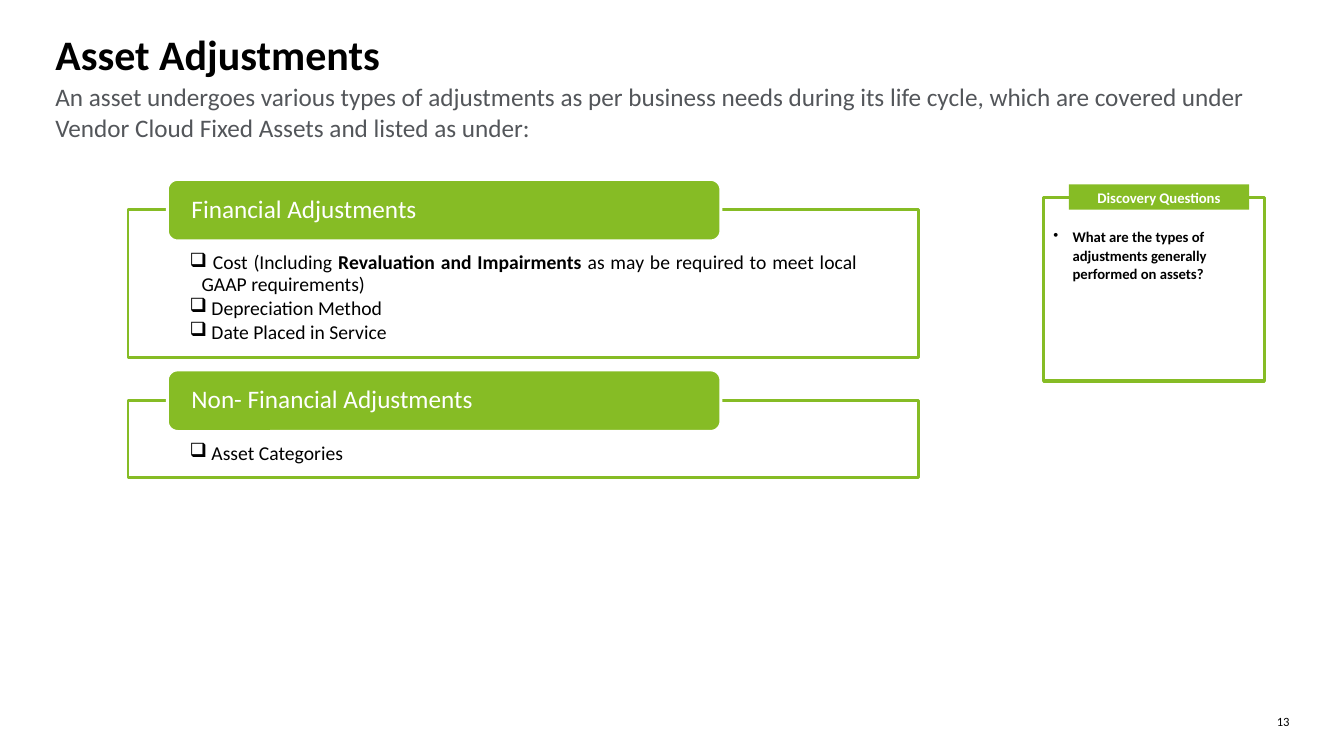
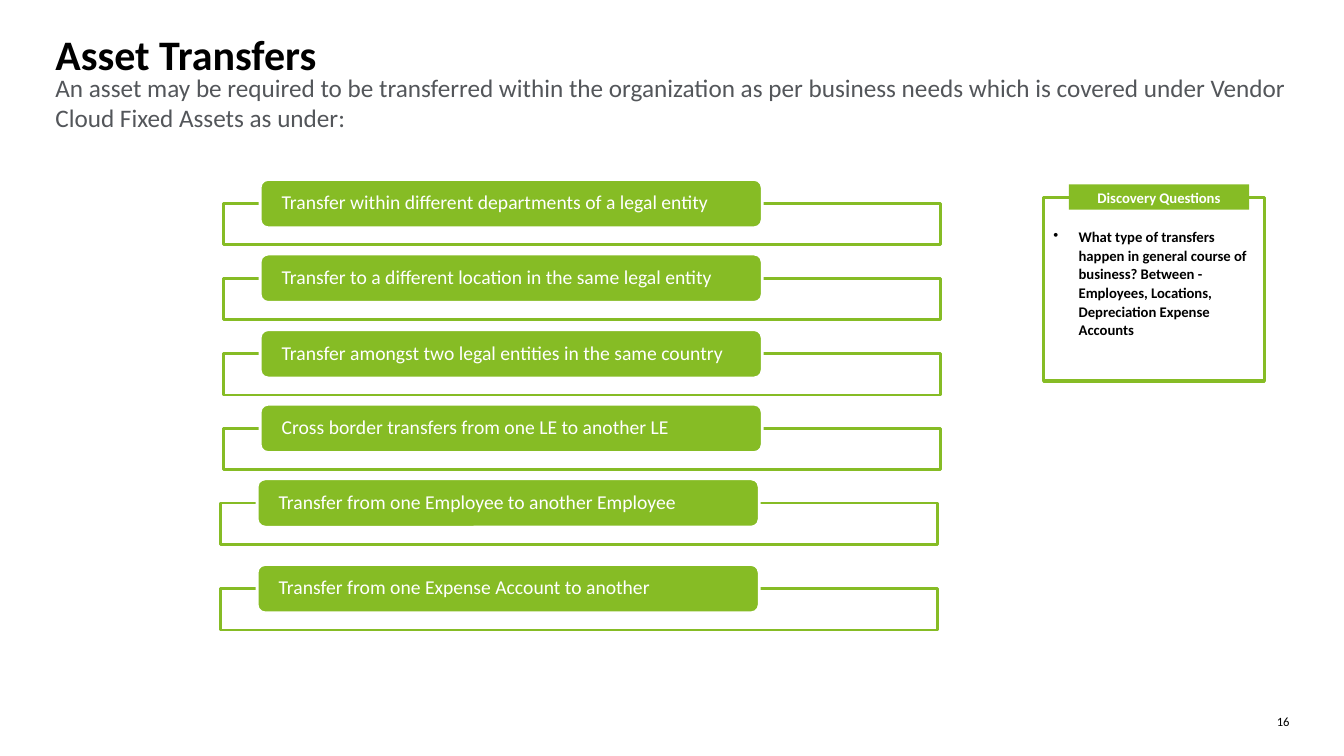
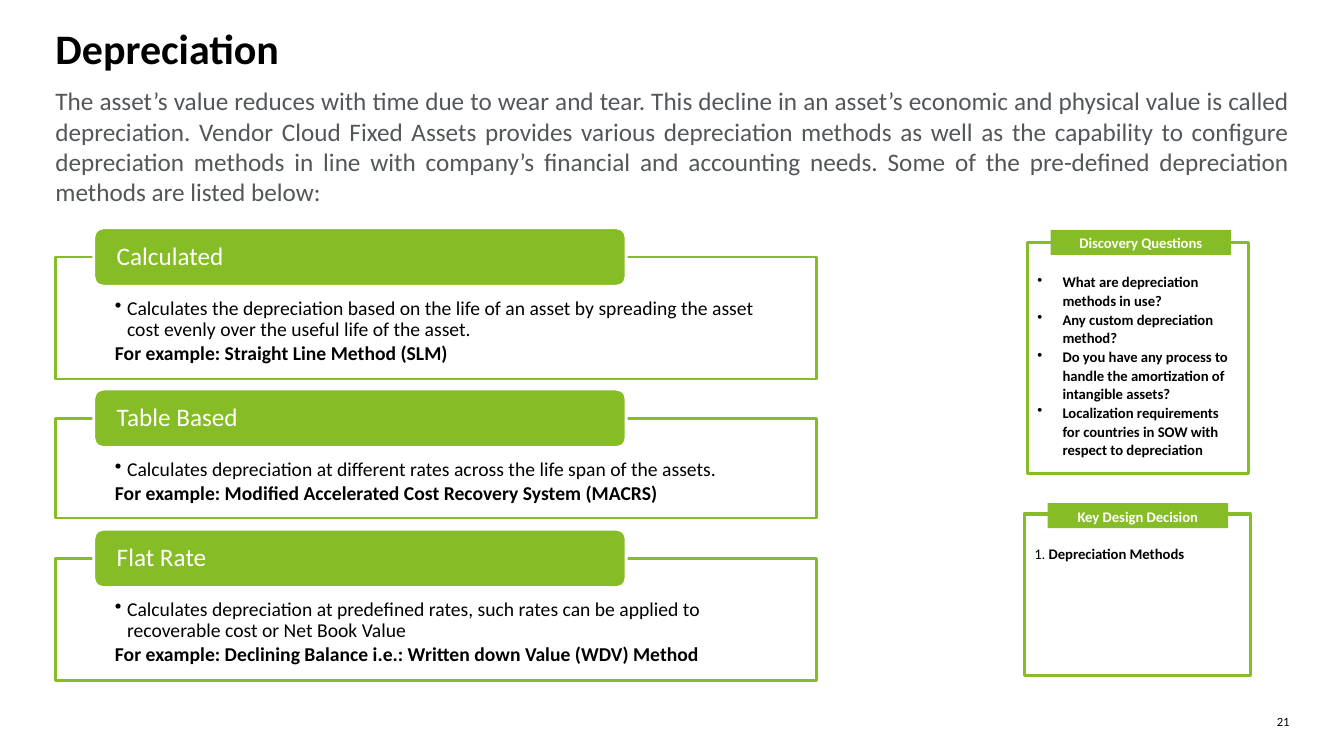
from dataclasses import dataclass

from lxml import etree
from pptx import Presentation
from pptx.dml.color import RGBColor
from pptx.enum.shapes import MSO_SHAPE
from pptx.enum.text import MSO_ANCHOR, MSO_AUTO_SIZE, PP_ALIGN
from pptx.oxml.ns import qn
from pptx.presentation import Presentation as Deck
from pptx.shapes.autoshape import Shape
from pptx.slide import Slide
from pptx.text.text import TextFrame
from pptx.util import Emu, Pt

EMU_PER_PX = 9144
FONT = "Calibri"
GREEN = RGBColor(0x86, 0xBC, 0x25)
GREY = RGBColor(0x53, 0x56, 0x5A)
BLACK = RGBColor(0, 0, 0)
WHITE = RGBColor(0xFF, 0xFF, 0xFF)

RECTANGLE = MSO_SHAPE.RECTANGLE
ROUNDED = MSO_SHAPE.ROUNDED_RECTANGLE
TOP = MSO_ANCHOR.TOP
MIDDLE = MSO_ANCHOR.MIDDLE
NO_FIT = MSO_AUTO_SIZE.NONE
LEFT = PP_ALIGN.LEFT
CENTER = PP_ALIGN.CENTER
RIGHT = PP_ALIGN.RIGHT
JUSTIFY = PP_ALIGN.JUSTIFY

TITLE_ONLY = 5
MARGIN = 55
CONTENT_WIDTH = 1224


@dataclass(frozen=True)
class Box:
    left: int
    top: int
    width: int
    height: int


@dataclass(frozen=True)
class Insets:
    left: int = 0
    top: int = 0
    right: int = 0
    bottom: int = 0


@dataclass(frozen=True)
class Span:
    text: str
    bold: bool = False


@dataclass(frozen=True)
class Para:
    spans: tuple[Span, ...]
    align: PP_ALIGN = LEFT
    bullet: str = ""
    hang: int = 0


@dataclass(frozen=True)
class TextStyle:
    size: float
    color: RGBColor = BLACK
    spacing: float = 1.0
    after: int = 0


@dataclass(frozen=True)
class CardStyle:
    width: int
    tab_height: int
    heading: TextStyle
    inset: int


@dataclass(frozen=True)
class Card:
    left: int
    top: int
    height: int
    heading: str
    paras: tuple[Para, ...] = ()


@dataclass(frozen=True)
class Panel:
    frame: Box
    label_left: int
    label_top: int
    label: str
    paras: tuple[Para, ...]


@dataclass(frozen=True)
class Page:
    title: str
    title_top: int
    intro: Para
    intro_top: int
    number: str
    card_style: CardStyle
    cards: tuple[Card, ...]
    panels: tuple[Panel, ...]


TITLE = TextStyle(30)
INTRO = TextStyle(18, GREY, after=10)
NUMBER = TextStyle(9)
CARD_BODY = TextStyle(14, spacing=0.9, after=2)
LARGE_HEADING = TextStyle(18, WHITE, 0.9)
SMALL_HEADING = TextStyle(14, WHITE, 0.9)
PANEL_BODY = TextStyle(10.5, spacing=1.06)
PANEL_LABEL = TextStyle(10.5, WHITE, 1.06)


def px(length: int) -> Emu:
    return Emu(length * EMU_PER_PX)


def plain(text: str, align: PP_ALIGN = LEFT) -> Para:
    return Para((Span(text),), align)


def bold(text: str, align: PP_ALIGN = LEFT) -> Para:
    return Para((Span(text, True),), align)


def checked(*spans: Span, align: PP_ALIGN = JUSTIFY) -> Para:
    return Para(spans, align, "❑", 12)


def method(description: str, example: str) -> tuple[Para, ...]:
    return (
        Para((Span(description),), bullet="•", hang=12),
        bold(f"For example: {example}"),
    )


def question(text: str, hang: int = 25) -> Para:
    return Para((Span(text, True),), bullet="•", hang=hang)


def write(frame: TextFrame, paras: tuple[Para, ...], style: TextStyle,
          insets: Insets = Insets(), anchor: MSO_ANCHOR = TOP) -> None:
    frame.word_wrap = True
    frame.auto_size = NO_FIT
    frame.vertical_anchor = anchor
    frame.margin_left = px(insets.left)
    frame.margin_top = px(insets.top)
    frame.margin_right = px(insets.right)
    frame.margin_bottom = px(insets.bottom)
    for index, item in enumerate(paras):
        para = frame.paragraphs[0] if index == 0 else frame.add_paragraph()
        if item.bullet:
            properties = para._p.get_or_add_pPr()
            properties.set("marL", str(px(item.hang)))
            properties.set("indent", str(-px(item.hang)))
            etree.SubElement(properties, qn("a:buChar"), char=item.bullet)
        para.alignment = item.align
        para.line_spacing = style.spacing
        para.space_before = Pt(0)
        para.space_after = Pt(style.after)
        for item_span in item.spans:
            span = para.add_run()
            span.text = item_span.text
            span.font.name = FONT
            span.font.size = Pt(style.size)
            span.font.bold = item_span.bold
            span.font.color.rgb = style.color


def place(shape: Shape, box: Box) -> None:
    shape.left, shape.top = px(box.left), px(box.top)
    shape.width, shape.height = px(box.width), px(box.height)


def add_text(page: Slide, box: Box, para: Para, style: TextStyle) -> None:
    shape = page.shapes.add_textbox(0, 0, 0, 0)
    place(shape, box)
    write(shape.text_frame, (para,), style)


def add_block(page: Slide, kind: MSO_SHAPE, box: Box, fill: RGBColor | None = None,
              line: RGBColor | None = None, weight: float = 2) -> Shape:
    shape = page.shapes.add_shape(kind, 0, 0, 0, 0)
    place(shape, box)
    shape.shadow.inherit = False
    if fill is None:
        shape.fill.background()
    else:
        shape.fill.solid()
        shape.fill.fore_color.rgb = fill
    if line is None:
        shape.line.fill.background()
    else:
        shape.line.color.rgb = line
        shape.line.width = Pt(weight)
    return shape


def add_card(page: Slide, card: Card, style: CardStyle) -> None:
    outline = add_block(page, RECTANGLE,
                        Box(card.left, card.top, style.width, card.height), WHITE, GREEN)
    if card.paras:
        side = round(style.width * 0.078)
        insets = Insets(side, round(style.tab_height * 0.7), side, 11)
        write(outline.text_frame, card.paras, CARD_BODY, insets)
    tab_box = Box(card.left + round(style.width * 0.05), card.top - style.tab_height // 2,
                  round(style.width * 0.7), style.tab_height)
    tab = add_block(page, ROUNDED, tab_box, GREEN, WHITE)
    write(tab.text_frame, (plain(card.heading),), style.heading,
          Insets(left=style.inset, right=style.inset), MIDDLE)


def add_panel(page: Slide, panel: Panel) -> None:
    frame = add_block(page, RECTANGLE, panel.frame, line=GREEN, weight=2.25)
    write(frame.text_frame, panel.paras, PANEL_BODY, Insets(10, 29, 10, 10))
    label = add_block(page, RECTANGLE, Box(panel.label_left, panel.label_top, 179, 25), GREEN)
    write(label.text_frame, (bold(panel.label, CENTER),), PANEL_LABEL,
          Insets(left=10, right=10), MIDDLE)


def add_page(deck: Deck, content: Page) -> None:
    page = deck.slides.add_slide(deck.slide_layouts[TITLE_ONLY])
    title = page.shapes.title
    place(title, Box(MARGIN, content.title_top, CONTENT_WIDTH, 37))
    write(title.text_frame, (bold(content.title),), TITLE, anchor=MIDDLE)
    add_text(page, Box(MARGIN, content.intro_top, CONTENT_WIDTH, 83), content.intro, INTRO)
    for card in content.cards:
        add_card(page, card, content.card_style)
    for panel in content.panels:
        add_panel(page, panel)
    add_text(page, Box(1245, 708, 34, 15), plain(content.number, RIGHT), NUMBER)


def discovery(*paras: Para) -> Panel:
    return Panel(Box(1035, 196, 219, 182), 1060, 183, "Discovery Questions", paras)


ADJUSTMENTS = Page(
    "Asset Adjustments", 35,
    plain("An asset undergoes various types of adjustments as per business needs during its "
          "life cycle, which are covered under Vendor Cloud Fixed Assets and listed as under:"),
    81, "13", CardStyle(784, 61, LARGE_HEADING, 21),
    (
        Card(127, 208, 147, "Financial Adjustments", (
            checked(Span(" Cost (Including "), Span("Revaluation and Impairments ", True),
                    Span("as may be required to meet local GAAP requirements)")),
            checked(Span(" Depreciation Method")),
            checked(Span(" Date Placed in Service")),
        )),
        Card(127, 397, 77, "Non- Financial Adjustments",
             (checked(Span(" Asset Categories"), align=LEFT),)),
    ),
    (discovery(question("What are the types of adjustments generally performed on assets?", 19)),),
)

TRANSFER_HEADINGS = (
    "Transfer within different departments of a legal entity",
    "Transfer to a different location in the same legal entity",
    "Transfer amongst two legal entities in the same country",
    "Cross border transfers from one LE to another LE",
)

TRANSFERS = Page(
    "Asset Transfers", 35,
    plain("An asset may be required to be transferred within the organization as per business "
          "needs which is covered under Vendor Cloud Fixed Assets as under:"),
    72, "16", CardStyle(711, 48, SMALL_HEADING, 19),
    (
        *(Card(222, round(202 + 74.4 * row), 41, heading)
          for row, heading in enumerate(TRANSFER_HEADINGS)),
        Card(219, 499, 41, "Transfer from one Employee to another Employee"),
        Card(219, 584, 41, "Transfer from one Expense Account to another"),
    ),
    (discovery(question("What type of transfers happen in general course of business? "
                        "Between - Employees, Locations, Depreciation Expense Accounts")),),
)

DEPRECIATION = Page(
    "Depreciation", 29,
    plain("The asset’s value reduces with time due to wear and tear. This decline in an asset’s "
          "economic and physical value is called depreciation. Vendor Cloud Fixed Assets provides "
          "various depreciation methods as well as the capability to configure depreciation "
          "methods in line with company’s financial and accounting needs. Some of the "
          "pre-defined depreciation methods are listed below:", JUSTIFY),
    85, "21", CardStyle(755, 58, LARGE_HEADING, 20),
    (
        Card(55, 255, 121, "Calculated", method(
            "Calculates the depreciation based on the life of an asset by spreading the asset "
            "cost evenly over the useful life of the asset.",
            "Straight Line Method (SLM)")),
        Card(55, 415, 99, "Table Based", method(
            "Calculates depreciation at different rates across the life span of the assets.",
            "Modified Accelerated Cost Recovery System (MACRS)")),
        Card(55, 554, 121, "Flat Rate", method(
            "Calculates depreciation at predefined rates, such rates can be applied to "
            "recoverable cost or Net Book Value",
            "Declining Balance i.e.: Written down Value (WDV) Method")),
    ),
    (
        Panel(Box(1019, 241, 219, 229), 1042, 228, "Discovery Questions", (
            question("What are depreciation methods in use?"),
            question("Any custom depreciation method?"),
            question("Do you have any process to handle the amortization of intangible assets?"),
            question("Localization requirements for countries in SOW with respect to depreciation"),
        )),
        Panel(Box(1016, 510, 224, 160), 1039, 499, "Key Design Decision",
              (Para((Span("1. "), Span("Depreciation Methods", True))),)),
    ),
)


def main() -> None:
    deck = Presentation()
    deck.slide_width, deck.slide_height = px(1333), px(750)
    for content in (ADJUSTMENTS, TRANSFERS, DEPRECIATION):
        add_page(deck, content)
    deck.save("out.pptx")


if __name__ == "__main__":
    main()
